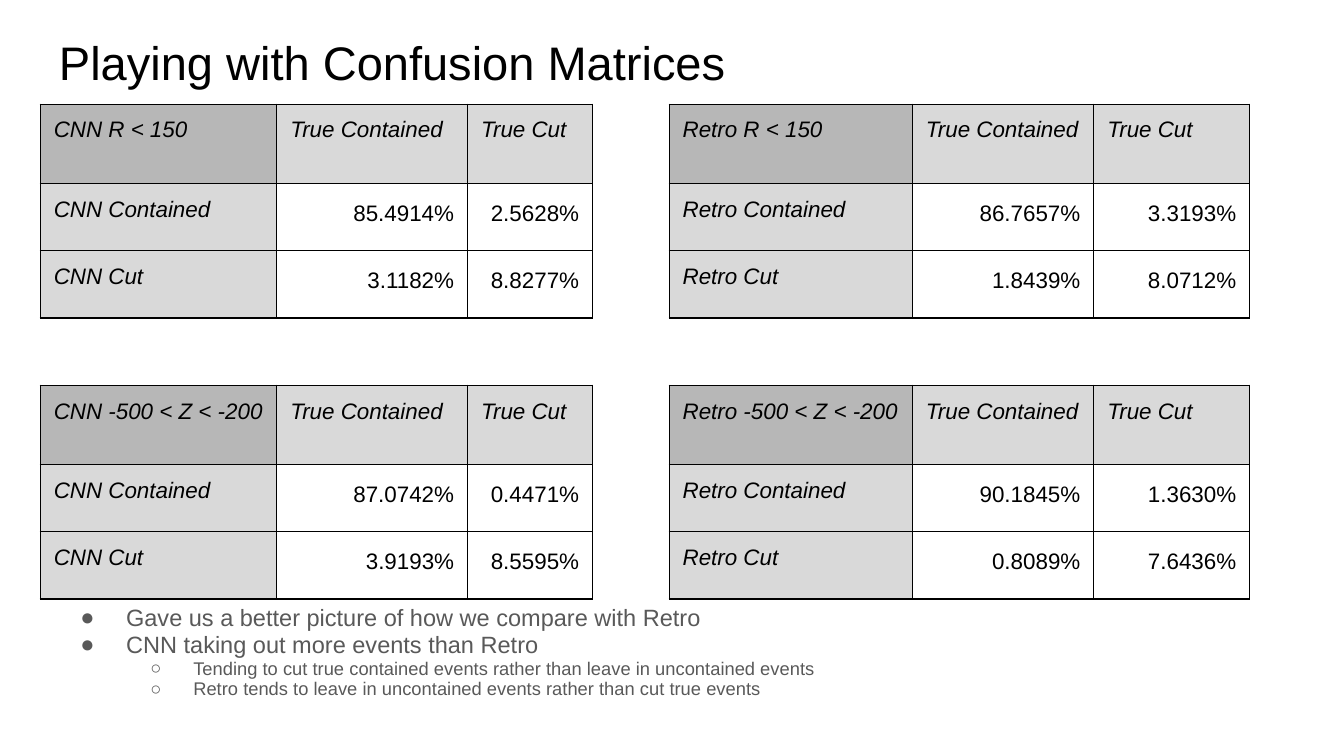
from lxml import etree
from pptx import Presentation
from pptx.dml.color import RGBColor
from pptx.enum.text import PP_ALIGN
from pptx.oxml.ns import qn
from pptx.util import Inches, Pt

LEFT, RIGHT = PP_ALIGN.LEFT, PP_ALIGN.RIGHT
COLORS = {"ink": "000000", "note": "595959", "corner": "B7B7B7", "label": "D9D9D9"}
CELL = 0.1
GAP = 3

COLS = [17.6, 14.2, 9.3, 5.7, 18.1, 13.5, 11.6]
ROWS = [5.9, 4.9, 4.8, 4.8, 5.9, 4.9, 4.8]
MODELS = {"CNN": 0, "Retro": GAP + 1}
CUTS = {"R < 150": 0, "-500 < Z < -200": GAP + 1}
RATES = {
    ("CNN", "R < 150"): [["85.4914%", "2.5628%"], ["3.1182%", "8.8277%"]],
    ("Retro", "R < 150"): [["86.7657%", "3.3193%"], ["1.8439%", "8.0712%"]],
    ("CNN", "-500 < Z < -200"): [["87.0742%", "0.4471%"], ["3.9193%", "8.5595%"]],
    ("Retro", "-500 < Z < -200"): [["90.1845%", "1.3630%"], ["0.8089%", "7.6436%"]],
}
NOTES = [
    (0, "Gave us a better picture of how we compare with Retro"),
    (0, "CNN taking out more events than Retro"),
    (1, "Tending to cut true contained events rather than leave in uncontained events"),
    (1, "Retro tends to leave in uncontained events rather than cut true events"),
]
LEVELS = [("●", 12.6, 0.5, -0.34), ("○", 9.8, 1, -0.32)]


def grid(count):
    return Inches(count * CELL)


class Deck:
    def __init__(self, cols, rows):
        self.show = Presentation()
        self.show.slide_width, self.show.slide_height = grid(cols), grid(rows)
        self.slide = self.show.slides.add_slide(self.show.slide_layouts[6])
        self.font = "Arial"

    def style(self, para, size, color="ink", italic=False):
        for run in para.runs:
            font = run.font
            font.name, font.size, font.italic = self.font, Pt(size), italic
            font.color.rgb = RGBColor.from_string(COLORS[color])

    def inset(self, item):
        item.margin_left = item.margin_right = grid(1)
        item.margin_top = item.margin_bottom = grid(1)

    def text(self, box, lines):
        frame = self.slide.shapes.add_textbox(*map(grid, box)).text_frame
        frame.word_wrap = True
        self.inset(frame)
        frame.text = "\n".join(lines)
        return frame.paragraphs

    def title(self, box, line):
        self.style(self.text(box, [line])[0], 25.2)

    def bullets(self, box, notes):
        paras = self.text(box, [line for _, line in notes])
        for para, (level, _) in zip(paras, notes):
            mark, size, left, indent = LEVELS[level]
            para.level, para.line_spacing = level, 0.95
            self.style(para, size, "note")
            props = para._p.get_or_add_pPr()
            props.set("marL", str(Inches(left)))
            props.set("indent", str(Inches(indent)))
            tint = etree.SubElement(props, qn("a:buClr"))
            etree.SubElement(tint, qn("a:srgbClr"), val=COLORS["note"])
            etree.SubElement(props, qn("a:buFont"), typeface=self.font)
            etree.SubElement(props, qn("a:buChar"), char=mark)

    def table(self, left, top):
        shape = self.slide.shapes.add_table(
            len(ROWS), len(COLS), grid(left), grid(top), grid(sum(COLS)), grid(sum(ROWS)))
        table = shape.table
        table.first_row = table.horz_banding = False
        for col, width in zip(table.columns, COLS):
            col.width = grid(width)
        for row, height in zip(table.rows, ROWS):
            row.height = grid(height)
        for row in range(len(ROWS)):
            for col in range(len(COLS)):
                cell = table.cell(row, col)
                self.inset(cell)
                self.border(cell, row != GAP, col != GAP)
                cell.fill.background()
        return table

    def border(self, cell, sides, ends):
        props = cell._tc.get_or_add_tcPr()
        for edge, shown in (("L", sides), ("R", sides), ("T", ends), ("B", ends)):
            line = etree.SubElement(props, qn(f"a:ln{edge}"), w=str(Pt(0.75)))
            if shown:
                fill = etree.SubElement(line, qn("a:solidFill"))
                etree.SubElement(fill, qn("a:srgbClr"), val=COLORS["ink"])
            else:
                etree.SubElement(line, qn("a:noFill"))

    def cell(self, cell, line, fill=None):
        cell.text_frame.text = line
        para = cell.text_frame.paragraphs[0]
        para.alignment = LEFT if fill else RIGHT
        para.line_spacing = 1.0 if fill else 1.15
        self.style(para, 12, italic=bool(fill))
        if fill:
            cell.fill.solid()
            cell.fill.fore_color.rgb = RGBColor.from_string(COLORS[fill])

    def matrix(self, table, model, cut):
        kinds = ["Contained", "Cut"]
        lines = [[f"{model} {cut}"] + [f"True {kind}" for kind in kinds]]
        for kind, rates in zip(kinds, RATES[model, cut]):
            lines.append([f"{model} {kind}"] + rates)
        for row, line in enumerate(lines):
            for col, text in enumerate(line):
                fill = None if row and col else "label" if row or col else "corner"
                self.cell(table.cell(CUTS[cut] + row, MODELS[model] + col), text, fill)


def main():
    deck = Deck(100, 56.25)
    deck.title((3.4, 1.5, 93.2, 6.3), "Playing with Confusion Matrices")
    deck.bullets((3.4, 44, 90.4, 9.4), NOTES)
    table = deck.table(3, 7.75)
    for model, cut in RATES:
        deck.matrix(table, model, cut)
    deck.show.save("out.pptx")


if __name__ == "__main__":
    main()
